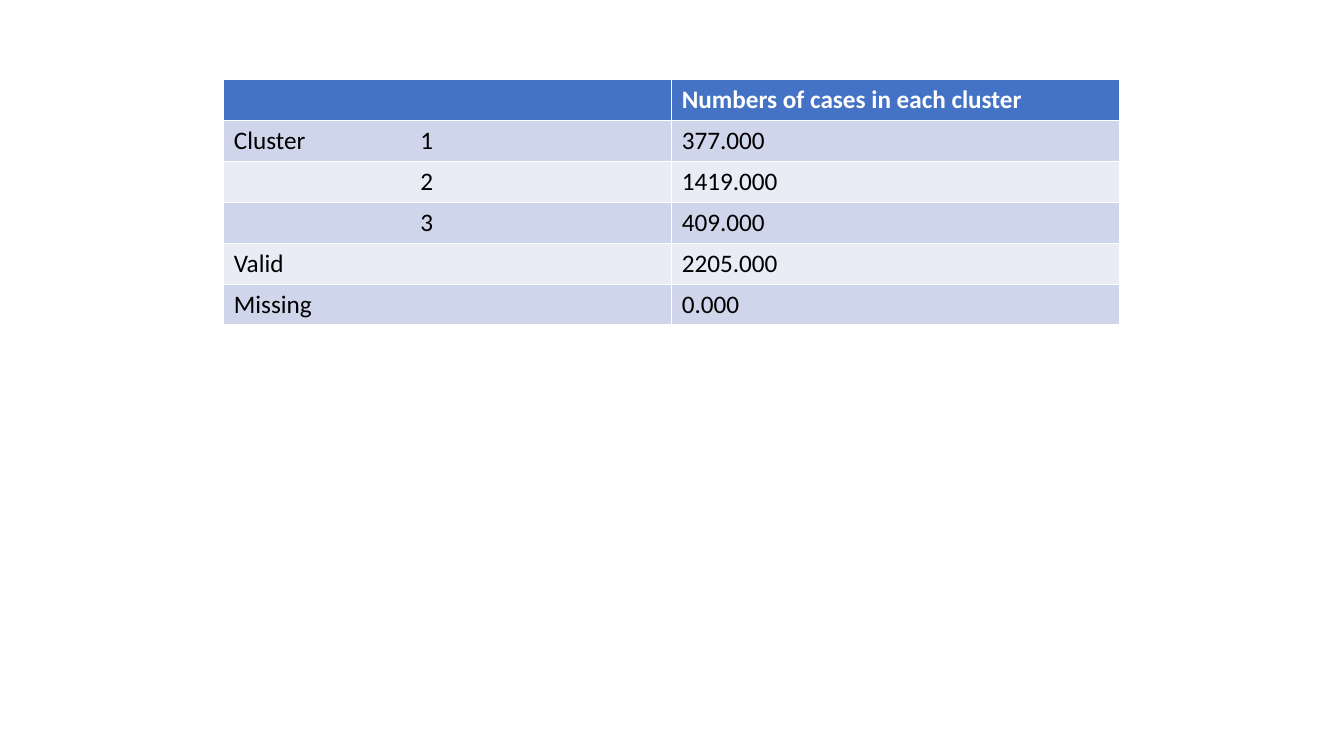
"""Builds a slide with a table of the number of cases in each cluster."""
from dataclasses import dataclass

from lxml import etree
from pptx import Presentation
from pptx import util as u
from pptx.dml.color import RGBColor
from pptx.oxml import ns


@dataclass(frozen=True)
class Theme:
    """Colours and type of the slide."""
    font: str = "Calibri"
    size: int = 18
    header_fill: str = "4472C4"
    header_ink: str = "FFFFFF"
    bands: tuple = ("CFD5EA", "E9EBF5")
    ink: str = "000000"


class SlideBuilder:
    """Holds the theme and the current slide."""

    def __init__(self, slide, theme):
        """Keep the slide and its theme."""
        self.slide = slide
        self.theme = theme

    def table(self, rows, left, top, column_width, row_height, tab):
        """Add a banded table with a header row."""
        columns = len(rows[0])
        grid = self.slide.shapes.add_table(
            len(rows), columns, u.Cm(left), u.Cm(top),
            u.Cm(column_width * columns), u.Cm(row_height * len(rows))).table
        for column in grid.columns:
            column.width = u.Cm(column_width)
        for r, values in enumerate(rows):
            grid.rows[r].height = u.Cm(row_height)
            for c, value in enumerate(values):
                self.cell(grid.cell(r, c), value, r, tab)

    def cell(self, cell, value, row, tab):
        """Fill one cell and style its text."""
        theme, header = self.theme, row == 0
        fill = theme.header_fill if header else theme.bands[(row - 1) % len(theme.bands)]
        cell.fill.solid()
        cell.fill.fore_color.rgb = RGBColor.from_string(fill)
        cell.text = value
        paragraph = cell.text_frame.paragraphs[0]
        if "\t" in value:
            self.tab_stop(paragraph, tab)
        font = paragraph.font
        font.name, font.size, font.bold = theme.font, u.Pt(theme.size), header
        font.color.rgb = RGBColor.from_string(theme.header_ink if header else theme.ink)

    def tab_stop(self, paragraph, position):
        """Give a paragraph one left tab stop."""
        properties = paragraph._p.get_or_add_pPr()
        stops = etree.SubElement(properties, ns.qn("a:tabLst"))
        etree.SubElement(stops, ns.qn("a:tab"), pos=str(u.Cm(position)), algn="l")


CLUSTER_CASES = [
    ("", "Numbers of cases in each cluster"),
    ("Cluster\t1", "377.000"),
    ("\t2", "1419.000"),
    ("\t3", "409.000"),
    ("Valid", "2205.000"),
    ("Missing", "0.000"),
]


def main():
    """Build and save the presentation."""
    deck = Presentation()
    deck.slide_width, deck.slide_height = u.Cm(33.87), u.Cm(19.05)
    builder = SlideBuilder(deck.slides.add_slide(deck.slide_layouts[6]), Theme())
    builder.table(CLUSTER_CASES, left=5.64, top=2.01,
                  column_width=11.29, row_height=1.03, tab=4.7)
    deck.save("out.pptx")


if __name__ == "__main__":
    main()
